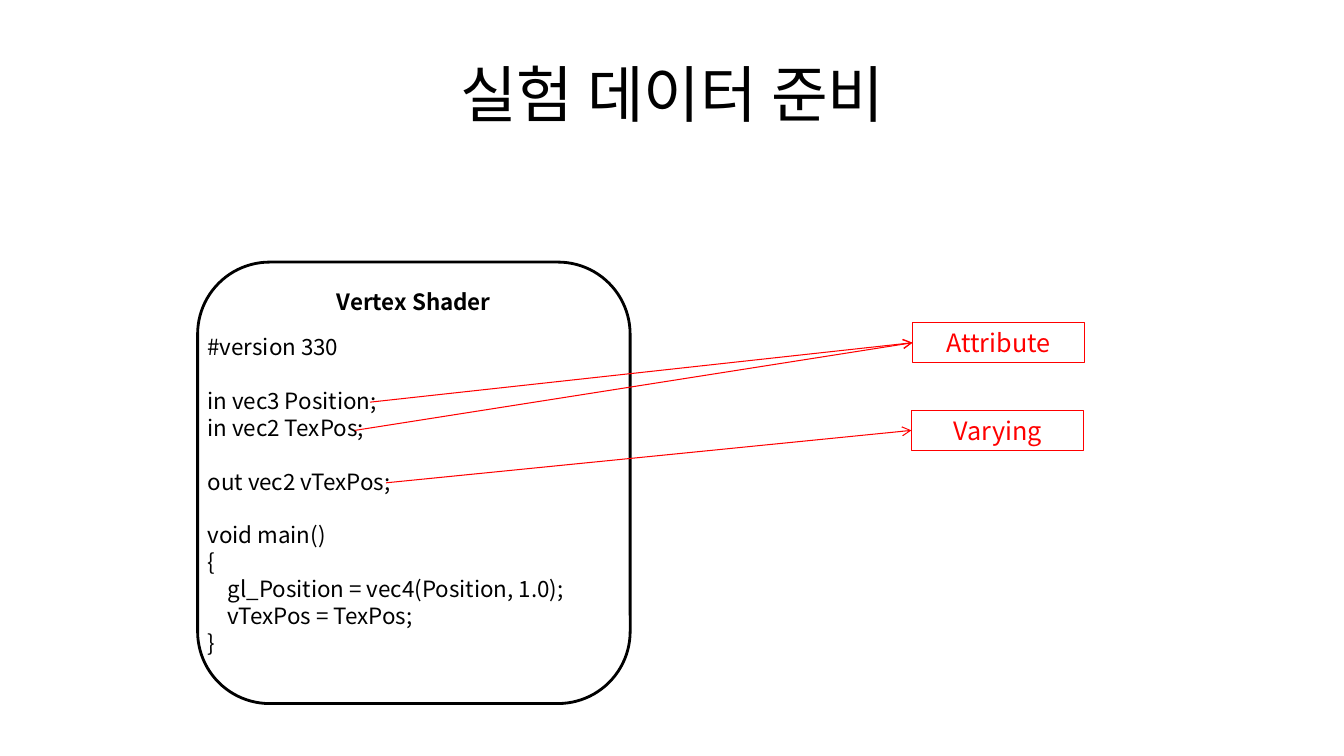
from lxml.etree import SubElement
from pptx import Presentation
from pptx.dml.color import RGBColor
from pptx.enum.shapes import MSO_CONNECTOR, MSO_SHAPE
from pptx.enum.text import MSO_ANCHOR, PP_ALIGN
from pptx.oxml.ns import qn
from pptx.util import Inches, Pt

BLACK = RGBColor(0, 0, 0)
WHITE = RGBColor(255, 255, 255)
RED = RGBColor(255, 0, 0)
FONT = "Noto Sans CJK KR"
LINE_PITCH = 1.2
CODE_INDENT = 0.2

CODE_BLOCKS = [
    ["#version 330"],
    ["in vec3 Position;", "in vec2 TexPos;"],
    ["out vec2 vTexPos;"],
    ["void main()", "{", "\tgl_Position = vec4(Position, 1.0);", "\tvTexPos = TexPos;", "}"],
]
LABELS = [
    ("Attribute", 9.05, 3.2, [(3.67, 3.99), (3.52, 4.27)]),
    ("Varying", 9.04, 4.07, [(3.83, 4.79)]),
]


def write(para, text, size=16, color=BLACK, bold=False, align=PP_ALIGN.LEFT, indent=0, before=0):
    """Put one formatted run of text into a paragraph."""
    para.alignment = align
    para.line_spacing = Pt(size * LINE_PITCH)
    para.space_before = Pt(before)
    if indent:
        para._p.get_or_add_pPr().set("marL", str(Inches(indent)))
    span = para.add_run()
    span.text = text
    span.font.name = FONT
    span.font.size = Pt(size)
    span.font.bold = bold
    span.font.color.rgb = color
    SubElement(span.font._element, qn("a:ea")).set("typeface", FONT)


def add_text_box(page, left, top, width, height):
    """Add a wrapping text box and return its text frame."""
    box = page.shapes.add_textbox(Inches(left), Inches(top), Inches(width), Inches(height))
    box.text_frame.word_wrap = True
    return box.text_frame


def add_outline(page, kind, left, top, width, height, color, weight, fill=None):
    """Add an outlined shape without a shadow."""
    shape = page.shapes.add_shape(kind, Inches(left), Inches(top), Inches(width), Inches(height))
    shape.shadow.inherit = False
    if fill is None:
        shape.fill.background()
    else:
        shape.fill.solid()
        shape.fill.fore_color.rgb = fill
    shape.line.color.rgb = color
    shape.line.width = Pt(weight)
    return shape


def add_title(page, left, top, width, height):
    """Write the slide title in the middle of its box."""
    frame = add_text_box(page, left, top, width, height)
    frame.vertical_anchor = MSO_ANCHOR.MIDDLE
    write(frame.paragraphs[0], "실험 데이터 준비", size=44, align=PP_ALIGN.CENTER)


def add_shader(page, left, top, width, height):
    """Draw the shader panel with its heading and code."""
    panel = add_outline(page, MSO_SHAPE.ROUNDED_RECTANGLE, left, top, width, height, BLACK, 2, WHITE)
    panel.text_frame.vertical_anchor = MSO_ANCHOR.TOP
    write(panel.text_frame.paragraphs[0], "Vertex Shader", bold=True, align=PP_ALIGN.CENTER)
    frame = add_text_box(page, left, top + 0.66, width, 3.33)
    for block_index, block in enumerate(CODE_BLOCKS):
        for line_index, line in enumerate(block):
            first = block_index == line_index == 0
            para = frame.paragraphs[0] if first else frame.add_paragraph()
            starts_block = line_index == 0 and block_index > 0
            write(
                para,
                line.lstrip("\t"),
                indent=CODE_INDENT if line.startswith("\t") else 0,
                before=16 * LINE_PITCH if starts_block else 0,
            )


def add_arrow(page, start, label):
    """Draw an arrow from a code line to the left side of a label."""
    begin_x, begin_y = map(Inches, start)
    arrow = page.shapes.add_connector(MSO_CONNECTOR.STRAIGHT, begin_x, begin_y, label.left, label.top)
    arrow.end_connect(label, 1)
    arrow.line.color.rgb = RED
    arrow.line.width = Pt(0.75)
    SubElement(arrow.line._get_or_add_ln(), qn("a:tailEnd")).set("type", "arrow")
    SubElement(arrow._element.spPr, qn("a:effectLst"))


def add_label(page, left, top, width, height, text, starts):
    """Draw a red label and the arrows that lead to it."""
    label = add_outline(page, MSO_SHAPE.RECTANGLE, left, top, width, height, RED, 0.75)
    label.text_frame.vertical_anchor = MSO_ANCHOR.MIDDLE
    write(label.text_frame.paragraphs[0], text, size=18, color=RED, align=PP_ALIGN.CENTER)
    for start in starts:
        add_arrow(page, start, label)


def main():
    """Build the slide and save the deck."""
    deck = Presentation()
    deck.slide_width = Inches(13.33)
    deck.slide_height = Inches(7.5)
    page = deck.slides.add_slide(deck.slide_layouts[6])
    add_shader(page, 1.96, 2.6, 4.29, 4.38)
    add_title(page, 0.67, 0.3, 12, 1.25)
    for text, left, top, starts in LABELS:
        add_label(page, left, top, 1.71, 0.4, text, starts)
    deck.save("out.pptx")


if __name__ == "__main__":
    main()
